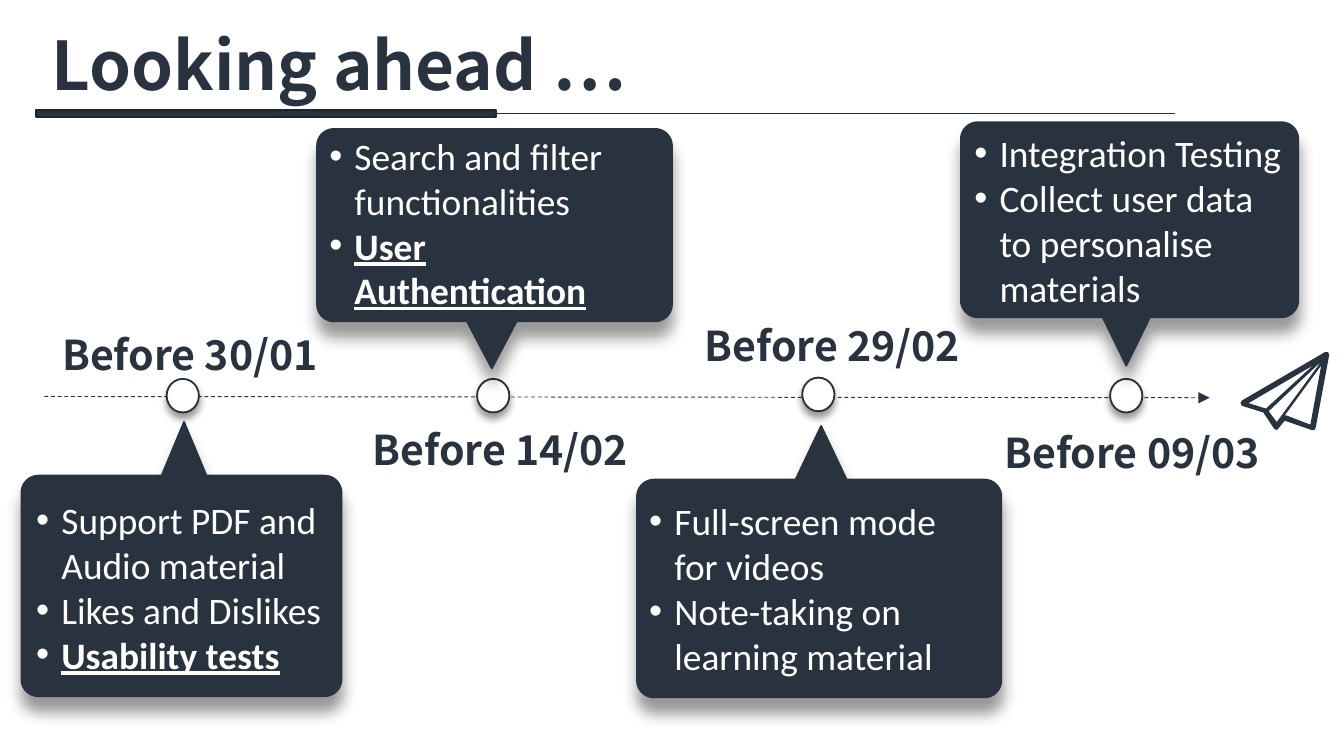
from dataclasses import dataclass
from math import cos, radians, sin
from typing import NamedTuple

from lxml.etree import SubElement
from pptx import Presentation
from pptx.dml.color import RGBColor as Color
from pptx.enum.dml import MSO_LINE
from pptx.enum.shapes import MSO_CONNECTOR as Connector, MSO_SHAPE as Preset
from pptx.enum.text import MSO_ANCHOR as Anchor, MSO_AUTO_SIZE as AutoSize, PP_ALIGN as Align
from pptx.oxml.ns import qn
from pptx.util import Pt


@dataclass(frozen=True)
class Theme:
    ink: Color = Color.from_string("29323F")
    edge: Color = Color.from_string("1E252F")
    paper: Color = Color.from_string("FFFFFF")
    heading_font: str = "Noto Sans CJK SC"
    body_font: str = "Calibri"
    title_size: float = 36
    date_size: float = 22
    list_size: float = 20


class Area(NamedTuple):
    left: float
    top: float
    width: float
    height: float


class Spot(NamedTuple):
    x: float
    y: float


class Shadow(NamedTuple):
    blur: float
    distance: float


class Item(NamedTuple):
    text: str
    stressed: bool = False


@dataclass(frozen=True)
class Milestone:
    date: str
    date_corner: Spot
    dot_corner: Spot
    callout: Area
    tip: Spot
    list_area: Area
    items: tuple[Item, ...]


THEME = Theme()
DOT_SHADOW = Shadow(4, 3)
CALLOUT_SHADOW = Shadow(8, 8)
CORNER_RADIUS = 9
BULLET_INDENT = 13.5

MILESTONES = (
    Milestone("Before 30/01", Spot(16.6, 172.8), Spot(89.3, 203),
              Area(11.5, 254.9, 171.4, 118.1), Spot(98.6, 226.1), Area(12.2, 262.8, 171.4, 104.4),
              (Item("Support PDF and Audio material"), Item("Likes and Dislikes"),
               Item("Usability tests", True))),
    Milestone("Before 14/02", Spot(182.9, 223.9), Spot(255.6, 203),
              Area(169.9, 69.1, 190.1, 103), Spot(263.5, 197.3), Area(169.2, 67.7, 190.1, 80),
              (Item("Search and filter functionalities"), Item("User Authentication", True))),
    Milestone("Before 29/02", Spot(360.7, 167.8), Spot(429.8, 202.3),
              Area(341.3, 257, 195.1, 116.6), Spot(439.9, 228.2), Area(340.6, 263.5, 194.5, 128),
              (Item("Full-screen mode for videos"), Item("Note-taking on learning material"))),
    Milestone("Before 09/03", Spot(521.3, 225.4), Spot(594.7, 203),
              Area(514.8, 65.5, 180.7, 104.4), Spot(603.4, 195.8), Area(514.8, 66.2, 181, 104.4),
              (Item("Integration Testing"), Item("Collect user data to personalise materials"))),
)

# The outer edge of the paper plane, then its three open folds.
PLANE = (
    ((711.4, 188.6), (709.9, 188.6), (665.3, 214.6), (664.6, 216), (665.3, 217.4), (676.8, 221),
     (682.6, 229.7), (684, 230.4), (684.7, 229.7), (688.3, 225.4), (702.7, 230.4),
     (704.2, 230.4), (704.9, 229), (712.1, 190.1)),
    ((702, 227.5), (689, 222.5), (688.3, 222.5), (707.8, 195.8)),
    ((679.7, 220.3), (707.8, 193.7), (684, 226.1)),
    ((668.9, 216), (703.4, 195.8), (678.2, 218.9)),
)


def apply(target, values: dict) -> None:
    for name, value in values.items():
        setattr(target, name, value)


def in_points(numbers) -> list:
    return [Pt(number) for number in numbers]


def place(shape, area: Area) -> None:
    apply(shape, dict(zip(Area._fields, in_points(area))))


def paint(shape, fill: Color, edge: Color | None = None, shadow: Shadow | None = None) -> None:
    shape.fill.solid()
    shape.fill.fore_color.rgb = fill
    if edge is None:
        shape.line.fill.background()
    else:
        shape.line.color.rgb = edge
        shape.line.width = Pt(1)
    shape.shadow.inherit = False
    if shadow:
        effects = shape.element.spPr.find(qn("a:effectLst"))
        outer = SubElement(effects, qn("a:outerShdw"), blurRad=str(Pt(shadow.blur)),
                           dist=str(Pt(shadow.distance)), dir="5400000", rotWithShape="0")
        black = SubElement(outer, qn("a:srgbClr"), val="000000")
        SubElement(black, qn("a:alpha"), val="40000")


def draw_line(page, start: Spot, end: Spot):
    line = page.shapes.add_connector(Connector.STRAIGHT, *in_points((*start, *end)))
    line.line.color.rgb = THEME.ink
    line.line.width = Pt(0.5)
    SubElement(line.element.spPr, qn("a:effectLst"))
    return line


def draw_outline(page, contours):
    first, *others = [[in_points(point) for point in contour] for contour in contours]
    builder = page.shapes.build_freeform(*first[0])
    builder.add_line_segments(first[1:], close=True)
    for contour in others:
        builder.move_to(*contour[0])
        builder.add_line_segments(contour[1:], close=True)
    return builder.convert_to_shape()


def callout_outline(area: Area, tip: Spot) -> list[tuple[float, float]]:
    """Rounded box, clockwise from the top left, with a pointer to the tip."""
    left, top, width, height = area
    right, bottom = left + width, top + height

    def corner(x: float, y: float, first_angle: int) -> list[tuple[float, float]]:
        angles = [radians(first_angle + step) for step in range(0, 91, 10)]
        return [(x + CORNER_RADIUS * cos(a), y + CORNER_RADIUS * sin(a)) for a in angles]

    near_x, far_x = left + CORNER_RADIUS, right - CORNER_RADIUS
    near_y, far_y = top + CORNER_RADIUS, bottom - CORNER_RADIUS
    upper = corner(near_x, near_y, 180), corner(far_x, near_y, 270)
    lower = corner(far_x, far_y, 0), corner(near_x, far_y, 90)
    half = 0.07 * width
    if tip.y < top:
        pointer = [(tip.x - half, top), tip, (tip.x + half, top)]
        return upper[0] + pointer + upper[1] + lower[0] + lower[1]
    pointer = [(tip.x + half, bottom), tip, (tip.x - half, bottom)]
    return upper[0] + upper[1] + lower[0] + pointer + lower[1]


def write_heading(box, text: str, size: float, align: Align) -> None:
    apply(box.text_frame, {"word_wrap": True, "auto_size": AutoSize.NONE,
                           "vertical_anchor": Anchor.MIDDLE})
    para = box.text_frame.paragraphs[0]
    para.alignment = align
    span = para.add_run()
    span.text = text
    apply(span.font, {"name": THEME.heading_font, "size": Pt(size), "bold": True})
    span.font.color.rgb = THEME.ink


def write_list(box, items: tuple[Item, ...]) -> None:
    frame = box.text_frame
    apply(frame, {"word_wrap": True, "auto_size": AutoSize.NONE, "vertical_anchor": Anchor.TOP})
    for index, item in enumerate(items):
        para = frame.add_paragraph() if index else frame.paragraphs[0]
        apply(para, {"alignment": Align.LEFT, "space_before": Pt(0), "line_spacing": 1.0})
        properties = para._p.get_or_add_pPr()
        properties.set("marL", str(Pt(BULLET_INDENT)))
        properties.set("indent", str(-Pt(BULLET_INDENT)))
        SubElement(properties, qn("a:buFont"), typeface="Arial")
        SubElement(properties, qn("a:buChar"), char="•")
        span = para.add_run()
        span.text = item.text
        apply(span.font, {"name": THEME.body_font, "size": Pt(THEME.list_size),
                          "bold": item.stressed, "underline": item.stressed})
        span.font.color.rgb = THEME.paper


def draw_milestone(page, milestone: Milestone, list_box) -> None:
    dot_area = Area(*milestone.dot_corner, 17.3, 18)
    dot = page.shapes.add_shape(Preset.OVAL, *in_points(dot_area))
    paint(dot, THEME.paper, THEME.ink, DOT_SHADOW)
    date_area = Area(*milestone.date_corner, 160.6, 33.8)
    date_box = page.shapes.add_textbox(*in_points(date_area))
    write_heading(date_box, milestone.date, THEME.date_size, Align.RIGHT)
    callout = draw_outline(page, [callout_outline(milestone.callout, milestone.tip)])
    paint(callout, THEME.ink, THEME.ink, CALLOUT_SHADOW)
    callout.element.addnext(list_box.element)  # keeps the list in front of its callout
    place(list_box, milestone.list_area)
    write_list(list_box, milestone.items)


def draw_header(page) -> None:
    rule = draw_line(page, Spot(629.3, 60.8), Spot(19.4, 60.8))
    bar = page.shapes.add_shape(Preset.RECTANGLE, *in_points((19.4, 59, 246.2, 3.6)))
    paint(bar, THEME.ink, THEME.edge)
    rule.end_connect(bar, 1)
    place(page.shapes.title, Area(16.6, 8.6, 329.8, 51.1))
    write_heading(page.shapes.title, "Looking ahead …", THEME.title_size, Align.CENTER)


def draw_timeline(page) -> None:
    timeline = draw_line(page, Spot(23.8, 212.4), Spot(648, 213.1))
    timeline.line.dash_style = MSO_LINE.DASH
    SubElement(timeline.element.spPr.find(qn("a:ln")), qn("a:tailEnd"), type="triangle")


def main() -> None:
    deck = Presentation()
    deck.slide_width, deck.slide_height = Pt(720), Pt(405)
    comparison = deck.slide_layouts[4]
    page = deck.slides.add_slide(comparison)
    list_boxes = [box for box in page.placeholders if box.placeholder_format.idx > 0]
    draw_header(page)
    draw_timeline(page)
    for milestone, list_box in zip(MILESTONES, list_boxes):
        draw_milestone(page, milestone, list_box)
    paint(draw_outline(page, PLANE), THEME.ink)
    deck.save("out.pptx")


if __name__ == "__main__":
    main()
